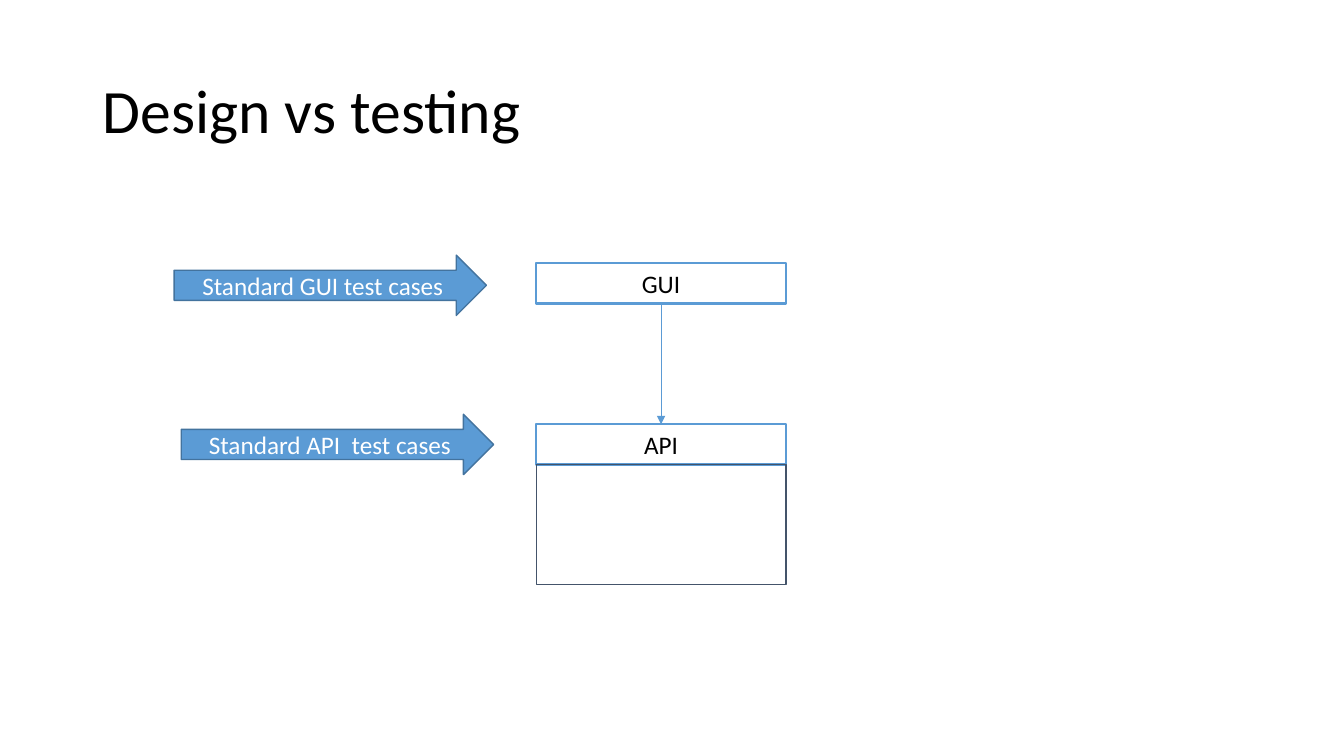
from lxml import etree
from pptx import Presentation
from pptx.dml.color import RGBColor
from pptx.enum.shapes import MSO_CONNECTOR, MSO_SHAPE
from pptx.enum.text import MSO_ANCHOR, MSO_AUTO_SIZE, PP_ALIGN
from pptx.oxml.ns import qn
from pptx.util import Cm, Pt

BLACK = RGBColor(0x00, 0x00, 0x00)
WHITE = RGBColor(0xFF, 0xFF, 0xFF)
BLUE = RGBColor(0x5B, 0x9B, 0xD5)
DARK_BLUE = RGBColor(0x43, 0x73, 0x9E)
SLATE = RGBColor(0x44, 0x54, 0x6A)
FONT = "Calibri"

LAYER_LEFT, LAYER_WIDTH, LAYER_HEIGHT = 13.51, 6.3, 1.02
GUI_TOP, API_TOP = 6.63, 10.69


def write(tf, text, size, color, align, anchor):
    tf.word_wrap = True
    tf.vertical_anchor = anchor
    p = tf.paragraphs[0]
    p.alignment = align
    r = p.add_run()
    r.text = text
    r.font.name = FONT
    r.font.size = Pt(size)
    r.font.color.rgb = color
    return p


def add_title(s, text):
    sp = s.shapes.title
    sp.left, sp.top, sp.width, sp.height = Cm(2.34), Cm(1.02), Cm(29.21), Cm(3.68)
    p = write(sp.text_frame, text, 44, BLACK, PP_ALIGN.LEFT, MSO_ANCHOR.MIDDLE)
    p.line_spacing = 0.9


def add_outline(shapes, kind, left, top, width, height, line, weight, fill=None):
    sp = shapes.add_shape(kind, Cm(left), Cm(top), Cm(width), Cm(height))
    sp.shadow.inherit = False
    if fill is None:
        sp.fill.background()
    else:
        sp.fill.solid()
        sp.fill.fore_color.rgb = fill
    sp.line.color.rgb = line
    sp.line.width = Pt(weight)
    return sp


def add_layer(shapes, text, top):
    sp = add_outline(shapes, MSO_SHAPE.RECTANGLE, LAYER_LEFT, top,
                     LAYER_WIDTH, LAYER_HEIGHT, BLUE, 1.75)
    write(sp.text_frame, text, 18, BLACK, PP_ALIGN.CENTER, MSO_ANCHOR.TOP)
    sp.text_frame.auto_size = MSO_AUTO_SIZE.SHAPE_TO_FIT_TEXT
    return sp


def add_test_arrow(shapes, text, left, top):
    sp = add_outline(shapes, MSO_SHAPE.RIGHT_ARROW, left, top, 7.87, 1.52,
                     DARK_BLUE, 1, BLUE)
    write(sp.text_frame, text, 18, WHITE, PP_ALIGN.CENTER, MSO_ANCHOR.MIDDLE)


def add_call(shapes, caller, callee):
    cx = shapes.add_connector(MSO_CONNECTOR.STRAIGHT, 0, 0, 0, 0)
    cx.begin_connect(caller, 2)
    cx.end_connect(callee, 0)
    cx.line.color.rgb = BLUE
    cx.line.width = Pt(0.5)
    etree.SubElement(cx.line._get_or_add_ln(), qn("a:tailEnd"), type="triangle")
    etree.SubElement(cx._element.spPr, qn("a:effectLst"))


def main():
    prs = Presentation()
    prs.slide_width, prs.slide_height = Cm(33.87), Cm(19.05)
    s = prs.slides.add_slide(prs.slide_layouts[5])
    add_title(s, "Design vs testing")

    layers = s.shapes.add_group_shape().shapes
    gui = add_layer(layers, "GUI", GUI_TOP)
    api = add_layer(layers, "API", API_TOP)
    add_call(layers, gui, api)

    add_outline(s.shapes, MSO_SHAPE.RECTANGLE, LAYER_LEFT, API_TOP + LAYER_HEIGHT,
                LAYER_WIDTH, 3.02, SLATE, 0.75)
    add_test_arrow(s.shapes, "Standard GUI test cases", 4.39, 6.43)
    add_test_arrow(s.shapes, "Standard API  test cases", 4.57, 10.44)
    prs.save("out.pptx")


main()
